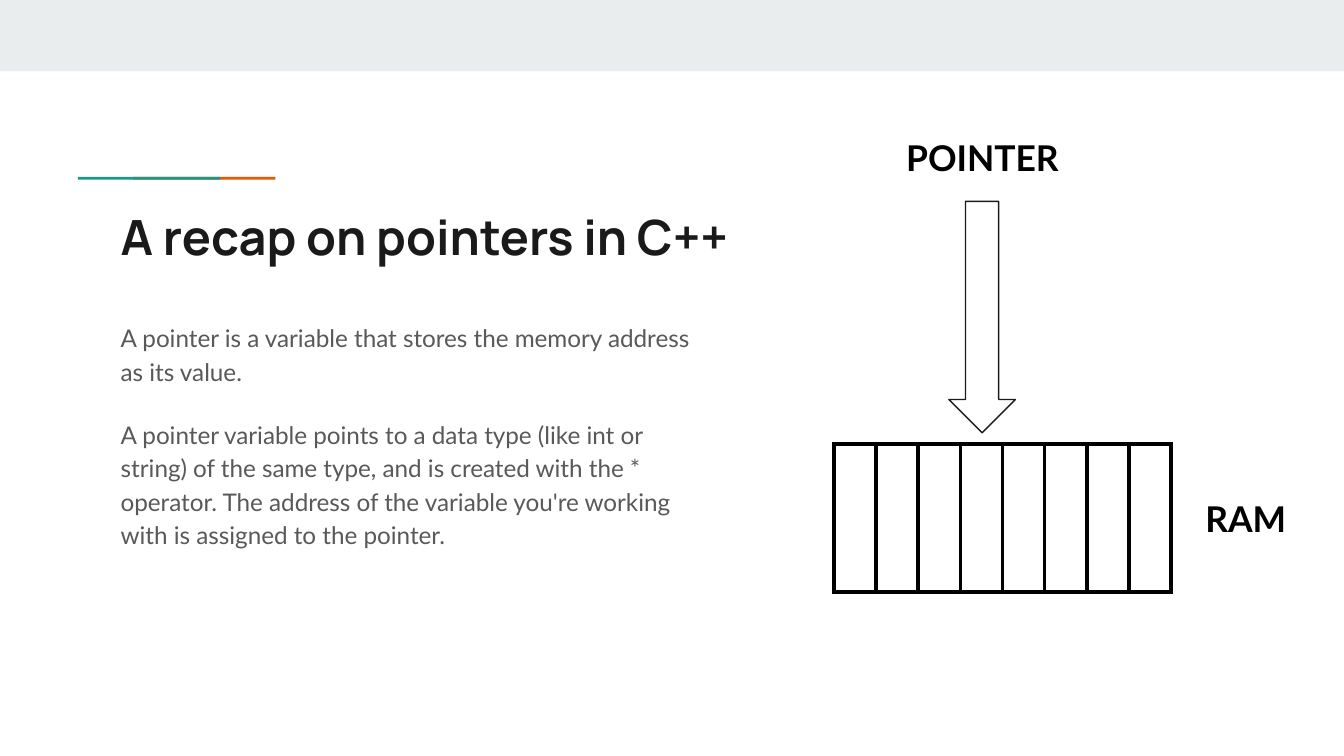
from dataclasses import dataclass

import lxml.etree
import pptx
import pptx.dml.color
import pptx.enum.shapes
import pptx.enum.text
import pptx.oxml.ns
import pptx.util

Shapes = pptx.enum.shapes.MSO_SHAPE
Align = pptx.enum.text.PP_ALIGN
Anchor = pptx.enum.text.MSO_ANCHOR

WIDTH = pptx.util.Inches(10)
HEIGHT = pptx.util.Emu(WIDTH * 9 // 16)
CELL_COUNT = 8


@dataclass(frozen=True)
class Theme:
    band: str = "E9EDEE"
    orange: str = "EB5600"
    green: str = "1A9988"
    ink: str = "1A1A1A"
    body: str = "595959"
    black: str = "000000"
    heading_font: str = "Manrope"
    text_font: str = "Lato"
    title_size: int = 26
    body_size: int = 13
    label_size: int = 19
    outline: float = 0.75
    border: float = 2.25


@dataclass(frozen=True)
class Frame:
    left_percent: float
    top_percent: float
    width_percent: float
    height_percent: float

    def lengths(self) -> tuple:
        across, down = WIDTH / 100, HEIGHT / 100
        return (round(self.left_percent * across), round(self.top_percent * down),
                round(self.width_percent * across), round(self.height_percent * down))


@dataclass(frozen=True)
class Block:
    frame: Frame
    fill: str


@dataclass(frozen=True)
class Label:
    text: str
    frame: Frame
    align: Align


THEME = Theme()
BLOCKS = (
    Block(Frame(0, 0, 100, 9.43), THEME.band),
    Block(Frame(9.9, 23.4, 10.6, 0.36), THEME.orange),
    Block(Frame(5.8, 23.4, 10.6, 0.36), THEME.green),
)
LABELS = (
    Label("RAM", Frame(88.7, 63.7, 8.9, 9.61), Align.LEFT),
    Label("POINTER", Frame(66, 16.7, 14.2, 8.36), Align.CENTER),
)
EXPLANATION = (
    "A pointer is a variable that stores the memory address as its value.\n"
    "A pointer variable points to a data type (like int or string) of the same "
    "type, and is created with the * operator. The address of the variable "
    "you're working with is assigned to the pointer."
)


def color(value: str) -> pptx.dml.color.RGBColor:
    return pptx.dml.color.RGBColor.from_string(value)


def add_text(page, text: str, frame: Frame, *, size: float, ink: str,
             font: str = THEME.text_font, bold: bool = False,
             align: Align = Align.LEFT, anchor: Anchor = Anchor.TOP,
             line_spacing: float = 1.0, gap: float = 0) -> None:
    box = page.shapes.add_textbox(*frame.lengths())
    body = box.text_frame
    body.word_wrap = True
    body.vertical_anchor = anchor
    inset = pptx.util.Inches(0.1)
    body.margin_left = body.margin_right = inset
    body.margin_top = body.margin_bottom = inset
    body.text = text
    for index, para in enumerate(body.paragraphs):
        para.alignment = align
        para.line_spacing = line_spacing
        para.space_before = pptx.util.Pt(gap if index else 0)
        for span in para.runs:
            span.font.name = font
            span.font.size = pptx.util.Pt(size)
            span.font.bold = bold
            span.font.color.rgb = color(ink)


def add_block(page, block: Block) -> None:
    shape = page.shapes.add_shape(Shapes.RECTANGLE, *block.frame.lengths())
    shape.shadow.inherit = False
    shape.fill.solid()
    shape.fill.fore_color.rgb = color(block.fill)
    shape.line.fill.background()


def add_arrow(page, frame: Frame) -> None:
    arrow = page.shapes.add_shape(Shapes.DOWN_ARROW, *frame.lengths())
    arrow.shadow.inherit = False
    arrow.fill.background()
    arrow.line.color.rgb = color(THEME.ink)
    arrow.line.width = pptx.util.Pt(THEME.outline)


def add_borders(cell) -> None:
    qualified = pptx.oxml.ns.qn
    properties = cell._tc.get_or_add_tcPr()
    for position, side in enumerate(("lnL", "lnR", "lnT", "lnB")):
        line = lxml.etree.Element(qualified(f"a:{side}"),
                                  w=str(pptx.util.Pt(THEME.border)))
        fill = lxml.etree.SubElement(line, qualified("a:solidFill"))
        lxml.etree.SubElement(fill, qualified("a:srgbClr"), val=THEME.black)
        properties.insert(position, line)


def add_memory(page, frame: Frame) -> None:
    table = page.shapes.add_table(1, CELL_COUNT, *frame.lengths()).table
    table.first_row = False
    table.horz_banding = False
    for cell in table.iter_cells():
        cell.fill.background()
        add_borders(cell)


def main() -> None:
    deck = pptx.Presentation()
    deck.slide_width, deck.slide_height = WIDTH, HEIGHT
    page = deck.slides.add_slide(deck.slide_layouts[6])
    for block in BLOCKS:
        add_block(page, block)
    add_text(page, "A recap on pointers in C++", Frame(8, 25.62, 84.1, 10.5),
             size=THEME.title_size, ink=THEME.ink, font=THEME.heading_font,
             bold=True)
    add_text(page, EXPLANATION, Frame(8, 40.42, 45.6, 43.95),
             size=THEME.body_size, ink=THEME.body, line_spacing=1.15, gap=16)
    add_memory(page, Frame(62.05, 58.75, 25.1, 19.55))
    add_arrow(page, Frame(70.6, 26.65, 4.95, 30.6))
    for label in LABELS:
        add_text(page, label.text, label.frame, size=THEME.label_size,
                 ink=THEME.black, bold=True, align=label.align,
                 anchor=Anchor.MIDDLE)
    deck.save("out.pptx")


if __name__ == "__main__":
    main()
